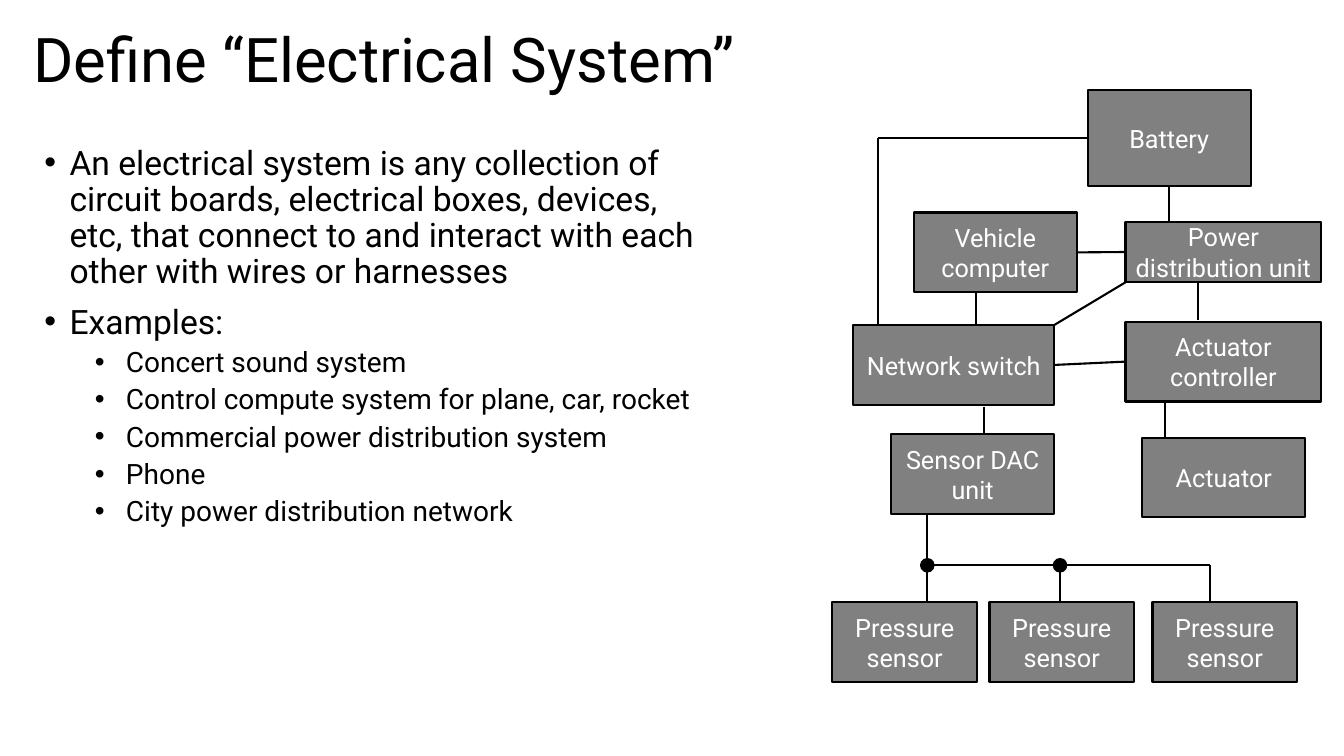
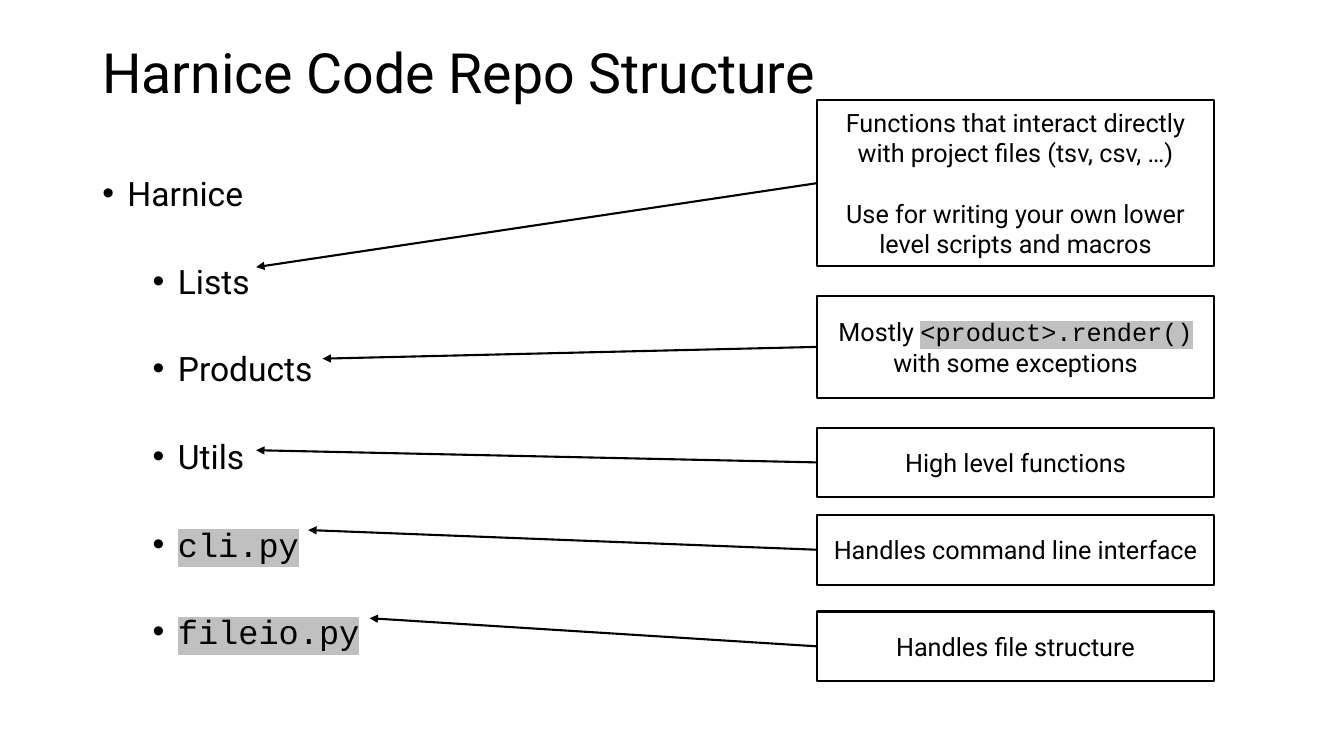
from dataclasses import dataclass
from lxml.etree import SubElement
from pptx import Presentation
from pptx.dml.color import RGBColor
from pptx.enum.shapes import MSO_CONNECTOR as Connector, MSO_SHAPE as Preset
from pptx.enum.text import MSO_ANCHOR as Anchor, PP_ALIGN as Align
from pptx.oxml.ns import qn
from pptx.util import Inches, Pt

COLUMNS, ROWS = 160, 90
UNIT = Inches(40 / 3) / COLUMNS
LEFT_SITE, RIGHT_SITE = 1, 3


@dataclass(frozen=True)
class Theme:
    ink: str = "000000"
    paper: str = "FFFFFF"
    node: str = "808080"
    highlight: str = "C0C0C0"
    font: str = "Roboto"
    code_font: str = "Courier New"
    title: float = 44
    small_title: float = 39.6
    body: float = 24
    detail: float = 20
    label: float = 18
    line: float = 1.5


@dataclass(frozen=True)
class Box:
    left: float
    top: float
    width: float
    height: float

    def inner(self, left, top, width, height):
        return Box(self.left + left, self.top + top, width, height)

    def point(self, column, row):
        return self.left + column, self.top + row

    def lengths(self):
        return [grid(value) for value in (self.left, self.top, self.width, self.height)]


THEME = Theme()


def grid(value):
    return round(value * UNIT)


def color(value):
    return RGBColor.from_string(value)


def write(paragraph, text, size, ink=THEME.ink):
    for index, part in enumerate(text.split("`")):
        if not part:
            continue
        is_code = index % 2 == 1
        run = paragraph.add_run()
        run.text = part
        run.font.size = Pt(size)
        run.font.name = THEME.code_font if is_code else THEME.font
        run.font.color.rgb = color(ink)
        if is_code:
            properties = run._r.get_or_add_rPr()
            highlight = SubElement(properties, qn("a:highlight"))
            SubElement(highlight, qn("a:srgbClr"), val=THEME.highlight)
            properties.find(qn("a:solidFill")).addnext(highlight)


def paragraphs(text_frame, count):
    text_frame.word_wrap = True
    return [text_frame.paragraphs[0]] + [text_frame.add_paragraph() for _ in range(count - 1)]


def add_title(slide, box, text, size):
    text_frame = slide.shapes.add_textbox(*box.lengths()).text_frame
    text_frame.vertical_anchor = Anchor.MIDDLE
    paragraph, = paragraphs(text_frame, 1)
    paragraph.line_spacing = 0.9
    write(paragraph, text, size)


def add_bullets(slide, box, items, sizes, hanging, spacing):
    text_frame = slide.shapes.add_textbox(*box.lengths()).text_frame
    lines = paragraphs(text_frame, len(items))
    for index, (paragraph, (level, text)) in enumerate(zip(lines, items)):
        paragraph.level = level
        indent = Inches(hanging[level])
        properties = paragraph._p.get_or_add_pPr()
        properties.set("marL", str(Inches(0.5 * level) + indent))
        properties.set("indent", str(-indent))
        SubElement(properties, qn("a:buFont"), typeface="Arial")
        SubElement(properties, qn("a:buChar"), char="•")
        paragraph.line_spacing = spacing
        if index:
            paragraph.space_before = Pt((10, 5)[level])
        write(paragraph, text, sizes[level])


def add_block(slide, box, texts, fill=None, ink=THEME.ink):
    shape = slide.shapes.add_shape(Preset.RECTANGLE, *box.lengths())
    shape.shadow.inherit = False
    if fill:
        shape.fill.solid()
        shape.fill.fore_color.rgb = color(fill)
    else:
        shape.fill.background()
    shape.line.color.rgb = color(THEME.ink)
    shape.line.width = Pt(THEME.line)
    shape.text_frame.vertical_anchor = Anchor.MIDDLE
    lines = paragraphs(shape.text_frame, len(texts))
    for index, (paragraph, text) in enumerate(zip(lines, texts)):
        paragraph.alignment = Align.CENTER
        if index:
            paragraph.space_before = Pt(1.2 * THEME.label)
        write(paragraph, text, THEME.label, ink)
    return shape


def add_line(slide, start, end, arrow=False):
    ends = [grid(value) for value in (*start, *end)]
    connector = slide.shapes.add_connector(Connector.STRAIGHT, *ends)
    connector.line.color.rgb = color(THEME.ink)
    connector.line.width = Pt(THEME.line)
    if arrow:
        SubElement(connector.line._get_or_add_ln(), qn("a:tailEnd"), type="triangle")
    SubElement(connector._element.spPr, qn("a:effectLst"))
    return connector


def add_joint(slide, center):
    size = 1.75
    box = Box(center[0] - size / 2, center[1] - size / 2, size, size)
    joint = slide.shapes.add_shape(Preset.OVAL, *box.lengths())
    joint.shadow.inherit = False
    joint.fill.solid()
    joint.fill.fore_color.rgb = color(THEME.ink)
    joint.line.fill.background()


def add_system_diagram(slide, box):
    narrow, wide, tall = 19.4, 23.3, 9.5
    bus, taps, sensor_row = 56.6, (11.4, 27.2, 45.1), 61
    wires = [
        ((40.2, 11.5), (40.2, 15.7)),
        ((5.5, 5.75), (30.5, 5.75)),
        ((5.5, 5.75), (5.5, 28)),
        ((17.2, 24.1), (17.2, 28)),
        ((43.6, 22.9), (43.6, 27.4)),
        ((39.7, 37.1), (39.7, 41.4)),
        ((18.1, 37.7), (18.1, 41)),
        ((35, 22.9), (26.5, 28)),
        ((taps[0], 50.5), (taps[0], bus)),
        ((taps[0], bus), (taps[-1], bus)),
    ] + [((tap, bus), (tap, sensor_row)) for tap in taps]
    for start, end in wires:
        add_line(slide, box.point(*start), box.point(*end))

    nodes = [
        ("Battery", 30.5, 0, narrow, 11.5),
        ("Vehicle computer", 9.8, 14.6, narrow, tall),
        ("Power distribution unit", 35, 15.7, wide, 7.2),
        ("Network switch", 2.6, 28, 23.9, tall),
        ("Actuator controller", 35, 27.6, wide, tall),
        ("Sensor DAC unit", 7.1, 41, narrow, tall),
        ("Actuator", 37, 41.4, narrow, tall),
    ] + [("Pressure sensor", column, sensor_row, 17.2, tall) for column in (0.1, 18.8, 38.2)]
    blocks = {}
    for name, *place in nodes:
        blocks[name] = add_block(slide, box.inner(*place), [name], THEME.node, THEME.paper)

    for left, right in (("Vehicle computer", "Power distribution unit"),
                        ("Network switch", "Actuator controller")):
        link = add_line(slide, box.point(0, 0), box.point(1, 1))
        link.begin_connect(blocks[left], RIGHT_SITE)
        link.end_connect(blocks[right], LEFT_SITE)
    for tap in taps[:2]:
        add_joint(slide, box.point(tap, bus))


def add_callouts(slide, box):
    column, width, low = 86.3, 47.2, 8.3
    callouts = [
        (0, 19.8, (19.5, 19.9), ["Functions that interact directly with project files (tsv, csv, …)",
                                 "Use for writing your own lower level scripts and macros"]),
        (23.3, 12.2, (27.4, 30.8), ["Mostly `<product>.render() `with some exceptions"]),
        (39, low, (19.5, 41.7), ["High level functions"]),
        (49.4, low, (25.7, 51.2), ["Handles command line interface"]),
        (60.9, low, (33, 61.7), ["Handles file structure"]),
    ]
    for row, height, tip, texts in callouts:
        block = add_block(slide, box.inner(column, row, width, height), texts)
        start = box.point(column, row + height / 2)
        arrow = add_line(slide, start, box.point(*tip), arrow=True)
        arrow.begin_connect(block, LEFT_SITE)


def build_system_slide(slide):
    add_title(slide, Box(2.8, 2, 138, 10.9), "Define “Electrical System”", THEME.title)
    items = [
        (0, "An electrical system is any collection of circuit boards, electrical boxes, "
            "devices, etc, that connect to and interact with each other with wires or harnesses"),
        (0, "Examples:"),
        (1, "Concert sound system"),
        (1, "Control compute system for plane, car, rocket"),
        (1, "Commercial power distribution system"),
        (1, "Phone"),
        (1, "City power distribution network"),
    ]
    add_bullets(slide, Box(4.1, 16.8, 79.8, 56.4), items,
                (THEME.body, THEME.detail), (0.25, 0.31), 0.9)
    add_system_diagram(slide, Box(99, 10.7, 58.3, 70.5))


def build_repo_slide(slide):
    add_title(slide, Box(11, 4.8, 138, 8.3), "Harnice Code Repo Structure", THEME.small_title)
    parts = ["Lists", "Products", "Utils", "`cli.py`", "`fileio.py`"]
    add_bullets(slide, Box(11, 15.2, 41, 65.9), [(0, "Harnice")] + [(1, part) for part in parts],
                (THEME.body, THEME.body), (0.25, 0.25), 2.0)
    add_callouts(slide, Box(11, 11.9, 133.5, 69.2))


def main():
    presentation = Presentation()
    presentation.slide_width = grid(COLUMNS)
    presentation.slide_height = grid(ROWS)
    blank = presentation.slide_layouts[6]
    for build in (build_system_slide, build_repo_slide):
        slide = presentation.slides.add_slide(blank)
        slide.background.fill.solid()
        slide.background.fill.fore_color.rgb = color(THEME.paper)
        build(slide)
    presentation.save("out.pptx")


if __name__ == "__main__":
    main()
